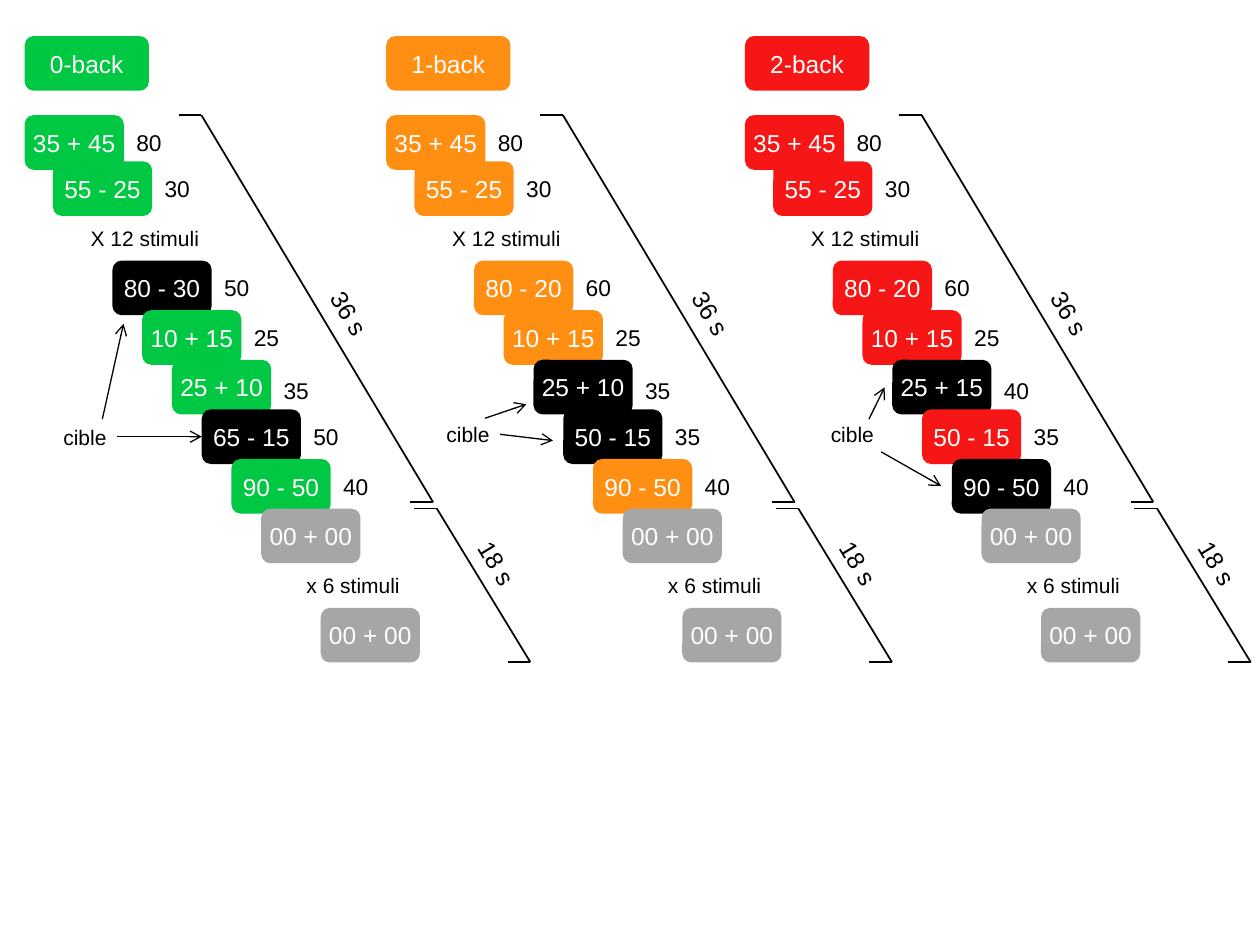
import pptx
import pptx.util
import pptx.dml.color
import pptx.enum.shapes
import pptx.enum.text
import pptx.oxml.ns
from lxml import etree

Pt = pptx.util.Pt
SHAPES = pptx.enum.shapes.MSO_SHAPE
ALIGN = pptx.enum.text.PP_ALIGN
ANCHOR = pptx.enum.text.MSO_ANCHOR

GREEN, ORANGE, RED = "00C843", "FF8F13", "F61616"
BLACK, GREY, WHITE = "000000", "A6A6A6", "FFFFFF"

CARD_W, CARD_H = 56.7, 31.2
HEADER_W, HEADER_TOP = 71, 20.6
FIRST_TOP = 65.8
STAIR_X, STAIR_Y = 16.2, 92.2      # second step, from which the stair is regular
STEP_X, STEP_Y = 17, 28.35
TICK = 13


def color(hex_value):
    return pptx.dml.color.RGBColor.from_string(hex_value)


class Board:
    """The slide being drawn, with its text style."""

    font = "Arial"

    def __init__(self, slide):
        self.slide = slide
        self.shapes = slide.shapes

    def set_text(self, shape, text, size, hex_value, centred, inset=None):
        frame = shape.text_frame
        formats = {"word_wrap": True,
                   "vertical_anchor": ANCHOR.MIDDLE if centred else ANCHOR.TOP}
        if inset is not None:
            for side in ("left", "right", "top", "bottom"):
                formats["margin_" + side] = Pt(inset)
        for name, value in formats.items():
            setattr(frame, name, value)
        paragraph = frame.paragraphs[0]
        paragraph.alignment = ALIGN.CENTER if centred else ALIGN.LEFT
        run = paragraph.add_run()
        run.text = text
        for name, value in {"name": self.font, "size": Pt(size)}.items():
            setattr(run.font, name, value)
        run.font.color.rgb = color(hex_value)

    def card(self, x, y, width, text, fill=None):
        """A rounded card, or a plain caption when there is no fill."""
        card = self.shapes.add_shape(SHAPES.ROUNDED_RECTANGLE,
                                     Pt(x), Pt(y), Pt(width), Pt(CARD_H))
        card.shadow.inherit = False
        card.line.fill.background()
        if fill:
            card.fill.solid()
            card.fill.fore_color.rgb = color(fill)
        else:
            card.fill.background()
        self.set_text(card, text, 14 if fill else 12, WHITE if fill else BLACK, True, 2.9)
        return card

    def label(self, x, y, width, height, text, size, centred=False, inset=None, rotation=0):
        label = self.shapes.add_textbox(Pt(x), Pt(y), Pt(width), Pt(height))
        label.rotation = rotation
        self.set_text(label, text, size, BLACK, centred, inset)
        return label

    def line(self, start, end, width=1, arrow=False):
        line = self.shapes.add_connector(pptx.enum.shapes.MSO_CONNECTOR.STRAIGHT,
                                         *(Pt(v) for v in (*start, *end)))
        line.line.width = Pt(width)
        line.line.color.rgb = color(BLACK)
        qn = pptx.oxml.ns.qn
        properties = line.element.spPr
        if arrow:
            etree.SubElement(properties.find(qn("a:ln")), qn("a:tailEnd"), type="arrow")
        etree.SubElement(properties, qn("a:effectLst"))
        return line

    def bracket(self, top, bottom):
        """A slanted line with a tick to the left at each end."""
        self.line(top, bottom)
        for x, y in (top, bottom):
            self.line((x - TICK, y), (x, y))


def step_position(index):
    if index == 0:
        return 0, FIRST_TOP
    return STAIR_X + STEP_X * (index - 1), STAIR_Y + STEP_Y * (index - 1)


def draw_condition(board, left, name, fill, trials, targets):
    """Draw one n-back column and return its cards by their text."""
    board.card(left, HEADER_TOP, HEADER_W, name, fill)
    rest = ("00 + 00", None)
    steps = [*trials[:2], "X 12 stimuli", *trials[2:], rest, "x 6 stimuli", rest]
    cards = {}
    for index, step in enumerate(steps):
        dx, y = step_position(index)
        x = left + dx
        if isinstance(step, str):
            board.card(x, y, HEADER_W, step)
            continue
        sum_text, result = step
        shade = GREY if result is None else BLACK if sum_text in targets else fill
        cards[sum_text] = board.card(x, y, CARD_W, sum_text, shade)
        if result is not None:
            drop = 6.2 if index == 5 else 4.1
            board.label(x + CARD_W, y + drop, 31, 23, str(result), 13)

    board.bracket((left + 101, FIRST_TOP), (left + 233.4, 287))
    board.bracket((left + 235.5, 290.6), (left + 289, 378.4))
    for dx, y, duration in ((164.5, 167.8, "36 s"), (248.8, 310.3, "18 s")):
        board.label(left + dx, y, 42.5, 24.5, duration, 14, rotation=59)
    return cards


START = [("35 + 45", 80), ("55 - 25", 30)]
CONDITIONS = [
    dict(left=14.1, name="0-back", fill=GREEN, targets={"80 - 30", "65 - 15"},
         trials=START + [("80 - 30", 50), ("10 + 15", 25), ("25 + 10", 35),
                         ("65 - 15", 50), ("90 - 50", 40)]),
    dict(left=220.7, name="1-back", fill=ORANGE, targets={"25 + 10", "50 - 15"},
         trials=START + [("80 - 20", 60), ("10 + 15", 25), ("25 + 10", 35),
                         ("50 - 15", 35), ("90 - 50", 40)]),
    dict(left=425.7, name="2-back", fill=RED, targets={"25 + 15", "90 - 50"},
         trials=START + [("80 - 20", 60), ("10 + 15", 25), ("25 + 15", 40),
                         ("50 - 15", 35), ("90 - 50", 40)]),
]
TARGET_LABELS = [(30.2, 239.45), (249.1, 237.8), (468.7, 237.8)]
TARGET_ARROWS = [
    ((58.5, 239.5), (70.6, 185)),
    ((277.2, 239), (300.8, 231)),
    ((285.8, 248.2), (316, 251.8)),
    ((496.5, 239.6), (505.5, 221.4)),
    ((503.5, 258.2), (537.8, 277.7)),
]


def main():
    deck = pptx.Presentation()
    deck.slide_width, deck.slide_height = Pt(720), Pt(540)
    board = Board(deck.slides.add_slide(deck.slide_layouts[6]))

    columns = [draw_condition(board, **condition) for condition in CONDITIONS]
    target_labels = [board.label(x, y, 36.7, 20.2, "cible", 12, True, 2.9)
                     for x, y in TARGET_LABELS]
    for start, end in TARGET_ARROWS:
        board.line(start, end, 0.75, arrow=True)
    level_arrow = board.line((66.9, 249.55), (115.3, 249.55), 0.75, arrow=True)
    level_arrow.begin_connect(target_labels[0], 3)
    level_arrow.end_connect(columns[0]["65 - 15"], 1)

    deck.save("out.pptx")


if __name__ == "__main__":
    main()
